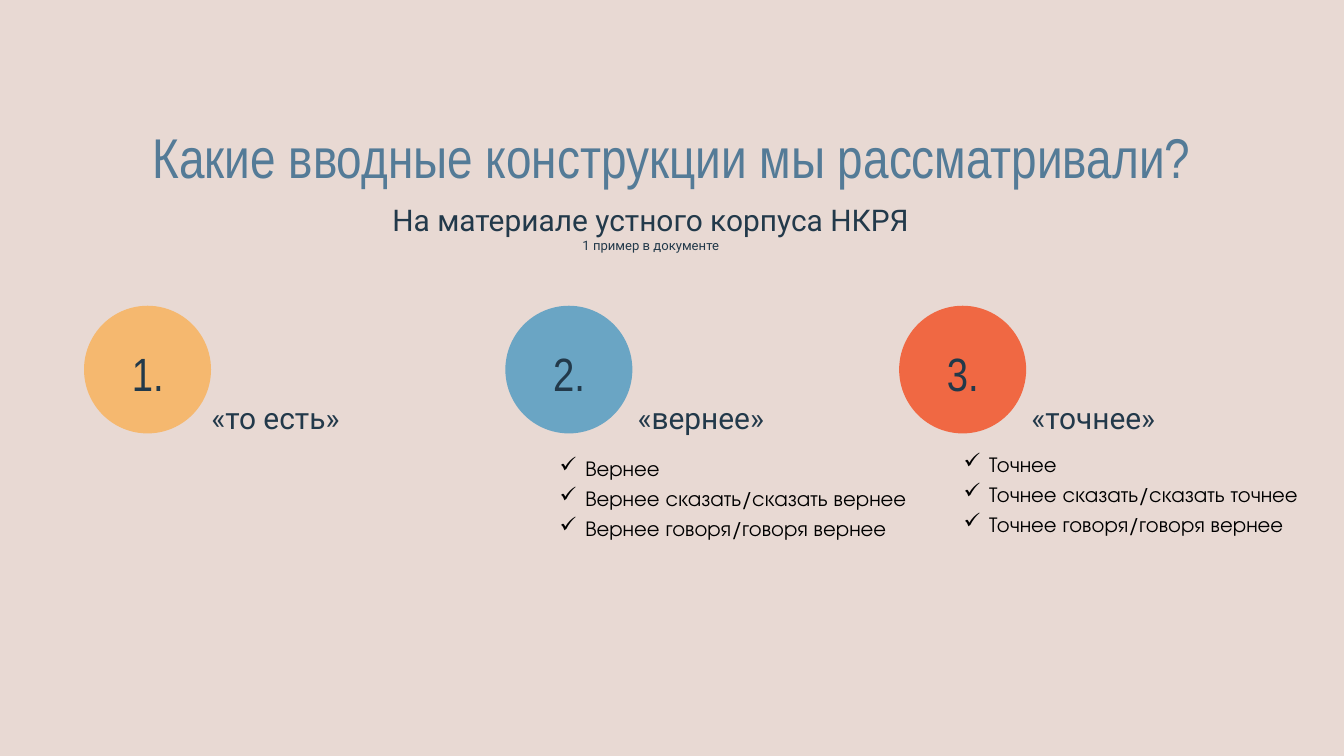
import pptx
import pptx.dml.color
import pptx.enum.shapes
import pptx.enum.text
import pptx.oxml.ns
import pptx.util
from lxml import etree

Inches, Pt = pptx.util.Inches, pptx.util.Pt
RGBColor = pptx.dml.color.RGBColor
PP_ALIGN = pptx.enum.text.PP_ALIGN
MSO_ANCHOR = pptx.enum.text.MSO_ANCHOR
MSO_AUTO_SIZE = pptx.enum.text.MSO_AUTO_SIZE
OVAL = pptx.enum.shapes.MSO_SHAPE.OVAL

BACKGROUND = RGBColor(0xE8, 0xD9, 0xD3)
NAVY = RGBColor(0x22, 0x39, 0x4A)
STEEL = RGBColor(0x54, 0x7B, 0x97)
BLACK = RGBColor(0, 0, 0)
YELLOW = RGBColor(0xF5, 0xB8, 0x6F)
BLUE = RGBColor(0x6A, 0xA5, 0xC4)
ORANGE = RGBColor(0xF0, 0x68, 0x43)

# Content
TITLE = "Какие вводные конструкции мы рассматривали?"
SUBTITLE = "На материале устного корпуса НКРЯ"
NOTE = "1 пример в документе"
COLUMNS = [
    {"color": YELLOW, "circle_x": 1.25, "label": "«то есть»", "label_x": 1.85},
    {"color": BLUE, "circle_x": 7.52, "label": "«вернее»", "label_x": 8.18,
     "list_at": (8.33, 6.71, 5.37, 1.35),
     "items": ["Вернее", "Вернее сказать/сказать вернее",
               "Вернее говоря/говоря вернее"]},
    {"color": ORANGE, "circle_x": 13.38, "label": "«точнее»", "label_x": 14.02,
     "list_at": (14.34, 6.65, 5.37, 1.8),
     "items": ["Точнее", "Точнее сказать/сказать точнее",
               "Точнее говоря/говоря вернее"]},
]

# Text styles: font values and line spacing in points
TITLE_STYLE = {"name": "Arial Narrow", "size": Pt(60), "color": STEEL}, 49.5
NUMBER_STYLE = {"name": "Arial Narrow", "size": Pt(50), "color": NAVY}, 49.5
LABEL_STYLE = {"name": "Roboto", "size": Pt(32), "color": NAVY}, 44.8
SUBTITLE_STYLE = {"name": "Roboto", "size": Pt(32), "color": NAVY}, None
NOTE_STYLE = {"name": "Roboto", "size": Pt(14), "color": NAVY}, None
ITEM_STYLE = {"name": "TeX Gyre Adventor", "size": Pt(23), "color": BLACK}, 32.2


def add_bullet(p):
    pPr = p._p.get_or_add_pPr()
    pPr.set("marL", str(Inches(0.38)))
    pPr.set("indent", str(-Inches(0.38)))
    bullet = etree.SubElement(pPr, pptx.oxml.ns.qn("a:buChar"))
    bullet.set("char", "✓")


def add_text(shapes, at, lines, inset=0, bulleted=False,
             anchor=MSO_ANCHOR.TOP, auto_size=MSO_AUTO_SIZE.SHAPE_TO_FIT_TEXT):
    """Add a text box; lines holds (text, style) pairs, one a paragraph."""
    tf = shapes.add_textbox(*map(Inches, at)).text_frame
    frame = {"word_wrap": True, "vertical_anchor": anchor, "auto_size": auto_size}
    frame.update({f"margin_{side}": Inches(inset)
                  for side in ("left", "top", "right", "bottom")})
    for name, value in frame.items():
        setattr(tf, name, value)
    for i, (text, (font, spacing)) in enumerate(lines):
        p = tf.paragraphs[0] if i == 0 else tf.add_paragraph()
        p.alignment = PP_ALIGN.LEFT if bulleted else PP_ALIGN.CENTER
        if spacing:
            p.line_spacing = Pt(spacing)
        if bulleted:
            add_bullet(p)
        r = p.add_run()
        r.text = text
        for name, value in font.items():
            if name == "color":
                r.font.color.rgb = value
            else:
                setattr(r.font, name, value)


def add_numbered_circle(s, x, number, color):
    group = s.shapes.add_group_shape()
    sp = group.shapes.add_shape(OVAL, *map(Inches, (x, 4.55, 1.89, 1.9)))
    sp.shadow.inherit = False
    sp.fill.solid()
    sp.fill.fore_color.rgb = color
    sp.line.fill.background()
    add_text(group.shapes, (x + 0.18, 4.97, 1.54, 1.3),
             [(f"{number}.", NUMBER_STYLE)], inset=0.06,
             anchor=MSO_ANCHOR.MIDDLE, auto_size=MSO_AUTO_SIZE.NONE)


def main():
    prs = pptx.Presentation()
    prs.slide_width, prs.slide_height = Inches(20), Inches(11.25)
    s = prs.slides.add_slide(prs.slide_layouts[6])
    s.background.fill.solid()
    s.background.fill.fore_color.rgb = BACKGROUND

    # Heading
    add_text(s.shapes, (1.12, 2.13, 17.75, 0.7), [(TITLE, TITLE_STYLE)])
    add_text(s.shapes, (3.92, 3, 11.53, 0.77),
             [(SUBTITLE, SUBTITLE_STYLE), (NOTE, NOTE_STYLE)])

    # Numbered columns with their variants
    for number, column in enumerate(COLUMNS, 1):
        add_numbered_circle(s, column["circle_x"], number, column["color"])
        add_text(s.shapes, (column["label_x"], 5.86, 4.5, 0.63),
                 [(column["label"], LABEL_STYLE)])
        if "items" in column:
            add_text(s.shapes, column["list_at"],
                     [(item, ITEM_STYLE) for item in column["items"]],
                     bulleted=True)

    prs.save("out.pptx")


if __name__ == "__main__":
    main()
